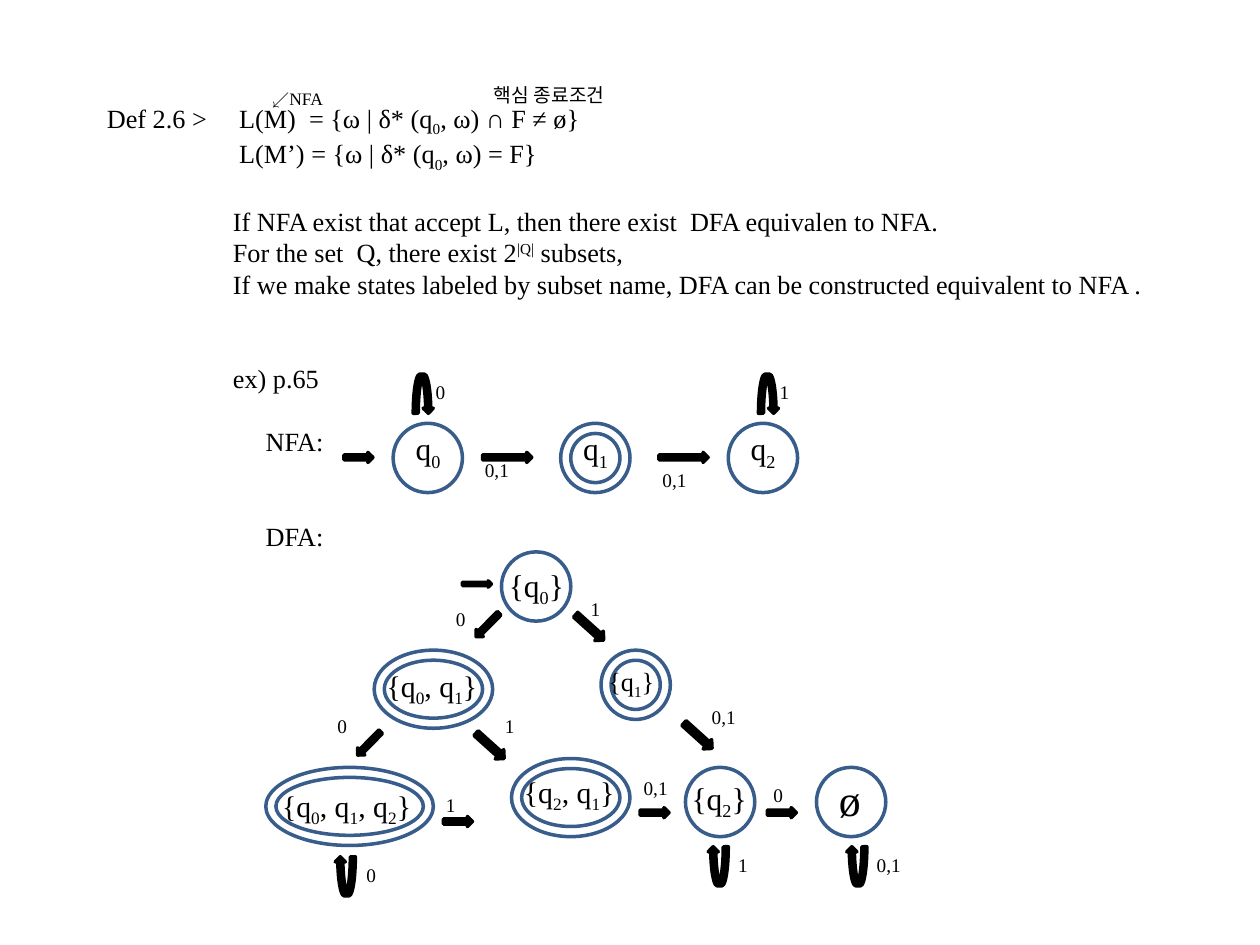
from dataclasses import dataclass

from lxml import etree
from pptx import Presentation
from pptx.dml.color import RGBColor
from pptx.enum.shapes import MSO_SHAPE
from pptx.oxml.ns import qn
from pptx.util import Inches, Pt

ELLIPSE = MSO_SHAPE.OVAL
RIGHT_ARROW = MSO_SHAPE.RIGHT_ARROW
LOOP_ARROW = MSO_SHAPE.CURVED_DOWN_ARROW


@dataclass(frozen=True)
class Theme:
    ink: RGBColor = RGBColor(0x00, 0x00, 0x00)
    paper: RGBColor = RGBColor(0xFF, 0xFF, 0xFF)
    ring: RGBColor = RGBColor(0x38, 0x5D, 0x8A)
    latin: str = "Times New Roman"
    korean: str = "Noto Sans CJK KR"
    note: int = 10
    label: int = 11
    body: int = 15
    pair: int = 17
    state: int = 18
    empty_set: int = 25
    line: int = 2
    ring_gap: float = 0.08
    subscript: str = "-25000"
    superscript: str = "30000"


class AutomatonSlide:
    """Draws text, states and transitions on one slide in a shared style."""

    def __init__(self, presentation, theme):
        self.theme = theme
        self.slide = presentation.slides.add_slide(presentation.slide_layouts[6])

    def add_runs(self, paragraph, text, size, font=None):
        for piece in text.replace("_", "|_").replace("^", "|^").split("|"):
            script = piece[:1] if piece[:1] in ("_", "^") else ""
            run = paragraph.add_run()
            run.text = piece[len(script):].replace("¦", "|")
            run.font.size = Pt(size)
            run.font.name = font or self.theme.latin
            run.font.color.rgb = self.theme.ink
            properties = run._r.get_or_add_rPr()
            if script:
                baseline = self.theme.subscript if script == "_" else self.theme.superscript
                properties.set("baseline", baseline)
            if font:
                etree.SubElement(properties, qn("a:ea")).set("typeface", font)

    def text(self, left, top, width, height, text, size, font=None, wrap=True):
        box = self.slide.shapes.add_textbox(
            Inches(left), Inches(top), Inches(width), Inches(height))
        box.text_frame.word_wrap = wrap
        self.add_runs(box.text_frame.paragraphs[0], text, size, font)

    def outline(self, left, top, width, height, lines):
        box = self.slide.shapes.add_textbox(
            Inches(left), Inches(top), Inches(width), Inches(height))
        frame = box.text_frame
        frame.word_wrap = True
        for index, (text, indent, space) in enumerate(lines):
            paragraph = frame.add_paragraph() if index else frame.paragraphs[0]
            paragraph.space_before = Pt(space)
            properties = paragraph._p.get_or_add_pPr()
            if "\t" in text:
                tabs = etree.SubElement(properties, qn("a:tabLst"))
                tab = etree.SubElement(tabs, qn("a:tab"))
                tab.set("pos", str(Inches(indent)))
                tab.set("algn", "l")
            else:
                properties.set("marL", str(Inches(indent)))
                properties.set("indent", "0")
            self.add_runs(paragraph, text, self.theme.body)

    def shape(self, shapes, kind, left, top, width, height, fill, line):
        shape = shapes.add_shape(
            kind, Inches(left), Inches(top), Inches(width), Inches(height))
        shape.shadow.inherit = False
        shape.fill.solid()
        shape.fill.fore_color.rgb = fill
        shape.line.color.rgb = line
        shape.line.width = Pt(self.theme.line)
        return shape

    def state(self, left, top, width=0.55, height=0.55, accepting=False):
        shapes = self.slide.shapes
        if accepting:
            shapes = shapes.add_group_shape().shapes
        gaps = (0, self.theme.ring_gap) if accepting else (0,)
        for gap in gaps:
            self.shape(shapes, ELLIPSE, left + gap, top + gap, width - 2 * gap,
                       height - 2 * gap, self.theme.paper, self.theme.ring)

    def arrow(self, left, top, width=0.23, height=0.08, rotation=0, kind=RIGHT_ARROW):
        arrow = self.shape(self.slide.shapes, kind, left, top, width, height,
                           self.theme.ink, self.theme.ink)
        arrow.rotation = rotation

    def loop(self, left, top, rotation=0):
        self.arrow(left, top, 0.16, 0.31, rotation, LOOP_ARROW)

    def label(self, left, top, text):
        self.text(left, top, 0.47, 0.29, text, self.theme.label)


def main():
    presentation = Presentation()
    presentation.slide_width = Inches(10)
    presentation.slide_height = Inches(7.5)
    theme = Theme()
    page = AutomatonSlide(presentation, theme)

    page.outline(0.75, 0.76, 8.52, 3.64, [
        ("Def 2.6 >\tL(M)  = {ω ¦ δ* (q_0|, ω) ∩ F ≠ ø}", 1.05, 0),
        ("L(M’) = {ω ¦ δ* (q_0|, ω) = F}", 1.05, 0),
        ("If NFA exist that accept L, then there exist  DFA equivalen to NFA.", 1, 18),
        ("For the set  Q, there exist 2^¦Q¦| subsets,", 1, 0),
        ("If we make states labeled by subset name, DFA can be constructed "
         "equivalent to NFA .", 1, 0),
        ("ex) p.65", 1, 36),
        ("NFA:", 1.26, 18),
        ("DFA:", 1.26, 36),
    ])
    page.text(2.06, 0.65, 0.94, 0.27, "↙NFA", theme.note)
    page.text(3.82, 0.61, 1.18, 0.29, "핵심 종료조건", theme.label, theme.korean, False)

    for index in range(3):
        left = 3.12 + 1.33 * index
        page.state(left, 3.36, accepting=index == 1)
        page.text(left + 0.08, 3.36, 0.47, 0.4, f"q_{index}", theme.state)

    for left, top, width, height, accepting in [
        (3.98, 4.38, 0.55, 0.55, False),
        (2.97, 5.16, 0.94, 0.62, True),
        (4.77, 5.16, 0.55, 0.55, True),
        (2.11, 6.09, 1.33, 0.62, True),
        (4.06, 6.02, 0.94, 0.62, True),
        (5.44, 6.09, 0.55, 0.55, False),
        (6.48, 6.09, 0.55, 0.55, False),
    ]:
        page.state(left, top, width, height, accepting)

    for left, top, width, height, text, size in [
        (3.94, 4.44, 0.78, 0.4, "{q_0|}", theme.state),
        (2.97, 5.25, 1.02, 0.38, "{q_0|, q_1|}", theme.pair),
        (4.73, 5.23, 0.78, 0.35, "{q_1|}", theme.body),
        (2.14, 6.2, 1.56, 0.38, "{q_0|, q_1|, q_2|}", theme.pair),
        (4.06, 6.09, 1.02, 0.38, "{q_2|, q_1|}", theme.pair),
        (5.39, 6.13, 0.78, 0.4, "{q_2|}", theme.state),
        (6.56, 6.08, 0.78, 0.52, "ø", theme.empty_set),
    ]:
        page.text(left, top, width, height, text, size)

    page.arrow(2.73, 3.59)
    page.arrow(3.67, 4.61, height=0.05)
    for left in (3.83, 5.23):
        page.arrow(left, 3.59, 0.39)
    for left, top in [(3.52, 6.48), (5.08, 6.41), (6.09, 6.41)]:
        page.arrow(left, top)
    for left, top in [(4.53, 4.93), (3.74, 5.87), (5.39, 5.79)]:
        page.arrow(left, top, 0.3, 0.1, 42)
    for left, top in [(3.74, 4.92), (2.8, 5.86)]:
        page.arrow(left, top, 0.26, rotation=134.6)
    for left in (3.28, 6.02):
        page.loop(left, 2.97)
    for left, top in [(2.66, 6.8), (5.62, 6.72), (6.72, 6.72)]:
        page.loop(left, top, 180)

    transition_labels = {
        "0": [(3.36, 2.97), (3.52, 4.77), (2.58, 5.62), (2.81, 6.8), (6.04, 6.17)],
        "1": [(6.09, 2.97), (4.59, 4.69), (3.91, 5.62), (3.44, 6.25), (5.76, 6.72)],
        "0,1": [(3.75, 3.59), (5.16, 3.67), (5.55, 5.55), (5.01, 6.11), (6.86, 6.72)],
    }
    for text, places in transition_labels.items():
        for left, top in places:
            page.label(left, top, text)

    presentation.save("out.pptx")


if __name__ == "__main__":
    main()
